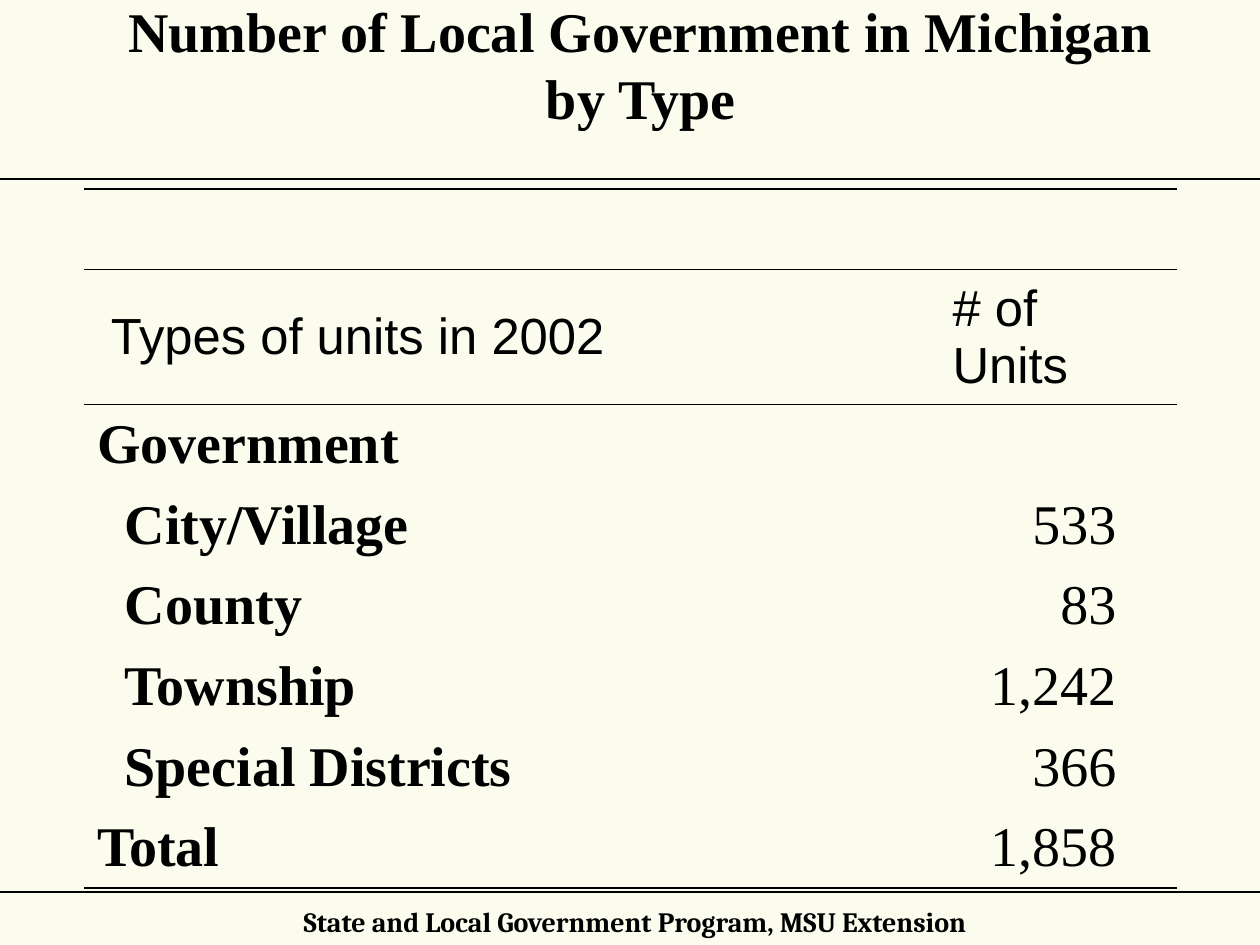
from dataclasses import dataclass

from lxml import etree
from pptx import Presentation
from pptx.dml.color import RGBColor
from pptx.enum.shapes import MSO_CONNECTOR
from pptx.enum.text import MSO_ANCHOR, PP_ALIGN
from pptx.oxml.ns import qn
from pptx.util import Inches, Pt

LEFT, CENTER, RIGHT = PP_ALIGN.LEFT, PP_ALIGN.CENTER, PP_ALIGN.RIGHT
TOP, MIDDLE = MSO_ANCHOR.TOP, MSO_ANCHOR.MIDDLE
STRAIGHT = MSO_CONNECTOR.STRAIGHT
TITLE_ONLY = 5


@dataclass(frozen=True)
class Theme:
    ink: str = "000000"
    paper: str = "FCFCEE"
    serif: str = "Times New Roman"
    sans: str = "Arial"
    footer_font: str = "Cambria"
    large: float = 32
    header: float = 29
    footer: float = 16
    divider: float = 1.25
    outer_rule: float = 0.96
    inner_rule: float = 0.45


THEME = Theme()
COLUMNS = [6.79, 0.94, 0.94]
ROWS = [0.64, 1.07] + [0.64] * 6
HEADERS = ["Types of units in 2002", "# of Units"]
GROUP = "Government"
UNITS = [("City/Village", "533"), ("County", "83"), ("Township", "1,242"),
         ("Special Districts", "366")]
TOTAL = ("Total", "1,858")
CELL_INSET = 0.1
HEADER_INSET = 0.21
UNIT_INSET = 0.32
NUMBER_INSET = 0.48


def write(frame, text, font, size, bold=False, align=LEFT):
    frame.text = text
    para = frame.paragraphs[0]
    para.alignment = align
    for span in para.runs:
        span.font.name = font
        span.font.size = Pt(size)
        span.font.bold = bold
        span.font.color.rgb = RGBColor.from_string(THEME.ink)


def place(shape, box):
    shape.left, shape.top, shape.width, shape.height = map(Inches, box)


def set_insets(frame, side, end):
    frame.margin_left = frame.margin_right = Inches(side)
    frame.margin_top = frame.margin_bottom = Inches(end)


def add_title(page, box):
    title = page.shapes.title
    place(title, box)
    frame = title.text_frame
    frame.word_wrap = True
    frame.vertical_anchor = TOP
    set_insets(frame, 0, 0)
    write(frame, "Number of Local Government in Michigan by Type",
          THEME.serif, THEME.large, True, CENTER)


def add_divider(page, top):
    line = page.shapes.add_connector(
        STRAIGHT, 0, Inches(top), Inches(10), Inches(top))
    line.line.color.rgb = RGBColor.from_string(THEME.ink)
    line.line.width = Pt(THEME.divider)
    etree.SubElement(line._element.spPr, qn("a:effectLst"))


def add_footer(page, box):
    frame = page.shapes.add_textbox(*map(Inches, box)).text_frame
    frame.word_wrap = True
    set_insets(frame, 0.02, 0.01)
    write(frame, "State and Local Government Program, MSU Extension",
          THEME.footer_font, THEME.footer, True, CENTER)


def set_borders(cell, top, bottom):
    """Draw the top and bottom edges in points; a width of 0 hides an edge."""
    properties = cell._tc.get_or_add_tcPr()
    for edge, width in (("L", 0), ("R", 0), ("T", top), ("B", bottom)):
        line = etree.SubElement(properties, qn(f"a:ln{edge}"), w=str(Pt(width)))
        if width:
            fill = etree.SubElement(line, qn("a:solidFill"))
            etree.SubElement(fill, qn("a:srgbClr"), val=THEME.ink)
        else:
            etree.SubElement(line, qn("a:noFill"))


def fill_label(cell, text, inset=CELL_INSET):
    cell.margin_left = Inches(inset)
    write(cell.text_frame, text, THEME.serif, THEME.large, True)


def fill_number(cell, text):
    cell.margin_right = Inches(NUMBER_INSET)
    write(cell.text_frame, text, THEME.serif, THEME.large, align=RIGHT)


def add_units_table(page, box):
    table = page.shapes.add_table(
        len(ROWS), len(COLUMNS), *map(Inches, box)).table
    table.first_row = table.horz_banding = False
    for column, width in zip(table.columns, COLUMNS):
        column.width = Inches(width)
    for row, height in zip(table.rows, ROWS):
        row.height = Inches(height)

    last = len(ROWS)
    rules = {0: THEME.outer_rule, 1: THEME.inner_rule,
             2: THEME.inner_rule, last: THEME.outer_rule}
    for index, row in enumerate(table.rows):
        for cell in row.cells:
            set_borders(cell, rules.get(index, 0), rules.get(index + 1, 0))
            cell.fill.background()
            cell.vertical_anchor = MIDDLE
        if index != 2:
            table.cell(index, 1).merge(table.cell(index, 2))

    for column, (text, inset) in enumerate(
            zip(HEADERS, (HEADER_INSET, CELL_INSET))):
        cell = table.cell(1, column)
        cell.margin_left = Inches(inset)
        write(cell.text_frame, text, THEME.sans, THEME.header)

    fill_label(table.cell(2, 0), GROUP)
    for index, (name, count) in enumerate(UNITS + [TOTAL], start=3):
        inset = CELL_INSET if index == last - 1 else UNIT_INSET
        fill_label(table.cell(index, 0), name, inset)
        fill_number(table.cell(index, 1), count)


def add_units_slide(deck):
    page = deck.slides.add_slide(deck.slide_layouts[TITLE_ONLY])
    page.background.fill.solid()
    page.background.fill.fore_color.rgb = RGBColor.from_string(THEME.paper)
    add_footer(page, (1, 7.17, 8.08, 0.29))
    for top in (7.08, 1.42):
        add_divider(page, top)
    add_title(page, (0.75, -0.03, 8.67, 1.6))
    add_units_table(page, (0.67, 1.5, sum(COLUMNS), sum(ROWS)))


def main():
    deck = Presentation()
    deck.slide_width, deck.slide_height = Inches(10), Inches(7.5)
    add_units_slide(deck)
    deck.save("out.pptx")


if __name__ == "__main__":
    main()
